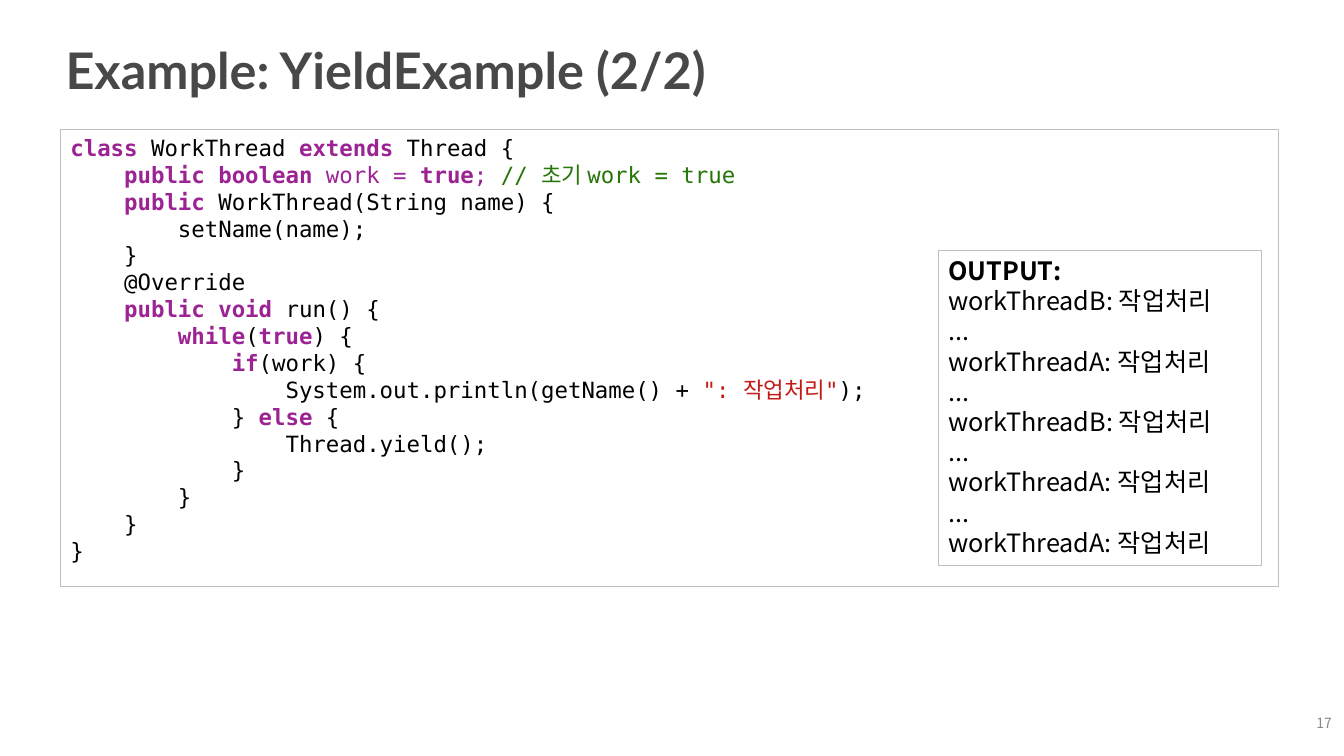
from pptx import Presentation
from pptx.dml.color import RGBColor
from pptx.enum.shapes import MSO_SHAPE
from pptx.enum.text import MSO_ANCHOR, PP_ALIGN
from pptx.oxml.ns import qn
from pptx.util import Pt
from lxml import etree

COLORS = {
    "title": "484848", "number": "888888", "border": "BFBFBF", "plain": "000000",
    "keyword": "9B2393", "field": "9B2393", "comment": "267507", "string": "C41A16",
}
BOLD = {"title", "keyword", "heading"}
SANS, MONO = "Noto Sans CJK KR", "DejaVu Sans Mono"

prs = Presentation()
prs.slide_width, prs.slide_height = Pt(960), Pt(540)
s = prs.slides.add_slide(prs.slide_layouts[6])


def add_lines(sp, lines, font, size, anchor=MSO_ANCHOR.TOP, align=PP_ALIGN.LEFT):
    """Fill a shape with lines, each a list of (style, text) runs."""
    tf = sp.text_frame
    tf.word_wrap = True
    tf.vertical_anchor = anchor
    for i, line in enumerate(lines):
        p = tf.paragraphs[0] if i == 0 else tf.add_paragraph()
        p.alignment = align
        p.font.name, p.font.size = font, Pt(size)
        for style, text in line:
            r = p.add_run()
            r.text = text
            r.font.name, r.font.size = font, Pt(size)
            r.font.bold = style in BOLD
            r.font.color.rgb = RGBColor.from_string(COLORS.get(style, COLORS["plain"]))
            etree.SubElement(r._r.get_or_add_rPr(), qn("a:ea"), typeface=SANS)


def add_frame(left, top, width, height):
    """Add an unfilled rectangle with a thin grey border."""
    sp = s.shapes.add_shape(MSO_SHAPE.RECTANGLE, Pt(left), Pt(top), Pt(width), Pt(height))
    sp.shadow.inherit = False
    sp.fill.background()
    sp.line.color.rgb = RGBColor.from_string(COLORS["border"])
    sp.line.width = Pt(0.75)
    return sp


# Title and slide number
for left, top, width, height, style, text, font, size, align in [
    (43.2, 20.9, 869.8, 56.9, "title", "Example: YieldExample (2/2)", "Lato", 36, PP_ALIGN.LEFT),
    (913, 506.9, 41.8, 19.4, "number", "17", SANS, 10, PP_ALIGN.RIGHT),
]:
    sp = s.shapes.add_textbox(Pt(left), Pt(top), Pt(width), Pt(height))
    tf = sp.text_frame
    tf.margin_left = tf.margin_right = tf.margin_top = tf.margin_bottom = Pt(3.6)
    add_lines(sp, [[(style, text)]], font, size, MSO_ANCHOR.MIDDLE, align)

# Code listing
code = [
    [("keyword", "class "), ("plain", "WorkThread "), ("keyword", "extends"), ("plain", " Thread {")],
    [("keyword", "    public boolean"), ("field", " work = "), ("keyword", "true"),
     ("field", "; "), ("comment", "// 초기 work = true")],
    [("keyword", "    public "), ("plain", "WorkThread(String name) {")],
    [("plain", "        setName(name);")],
    [("plain", "    }")],
    [("plain", "    @Override")],
    [("keyword", "    public void"), ("plain", " run() {")],
    [("keyword", "        while"), ("plain", "("), ("keyword", "true"), ("plain", ") {")],
    [("keyword", "            if"), ("plain", "(work) {")],
    [("plain", "                System.out.println(getName() + "),
     ("string", "\": 작업처리\""), ("plain", ");")],
    [("plain", "            } "), ("keyword", "else"), ("plain", " {")],
    [("plain", "                Thread.yield();")],
    [("plain", "            }")],
    [("plain", "        }")],
    [("plain", "    }")],
    [("plain", "}")],
]
add_lines(add_frame(43.2, 92.3, 869.8, 326.9), code, MONO, 16)

# Program output
output = [[("heading", "OUTPUT:")]]
for i, thread in enumerate("BABAA"):
    if i:
        output.append([("plain", "...")])
    output.append([("plain", f"workThread{thread}: 작업처리")])
add_lines(add_frame(670.3, 178.7, 231.1, 225.4), output, SANS, 18)

prs.save("out.pptx")
